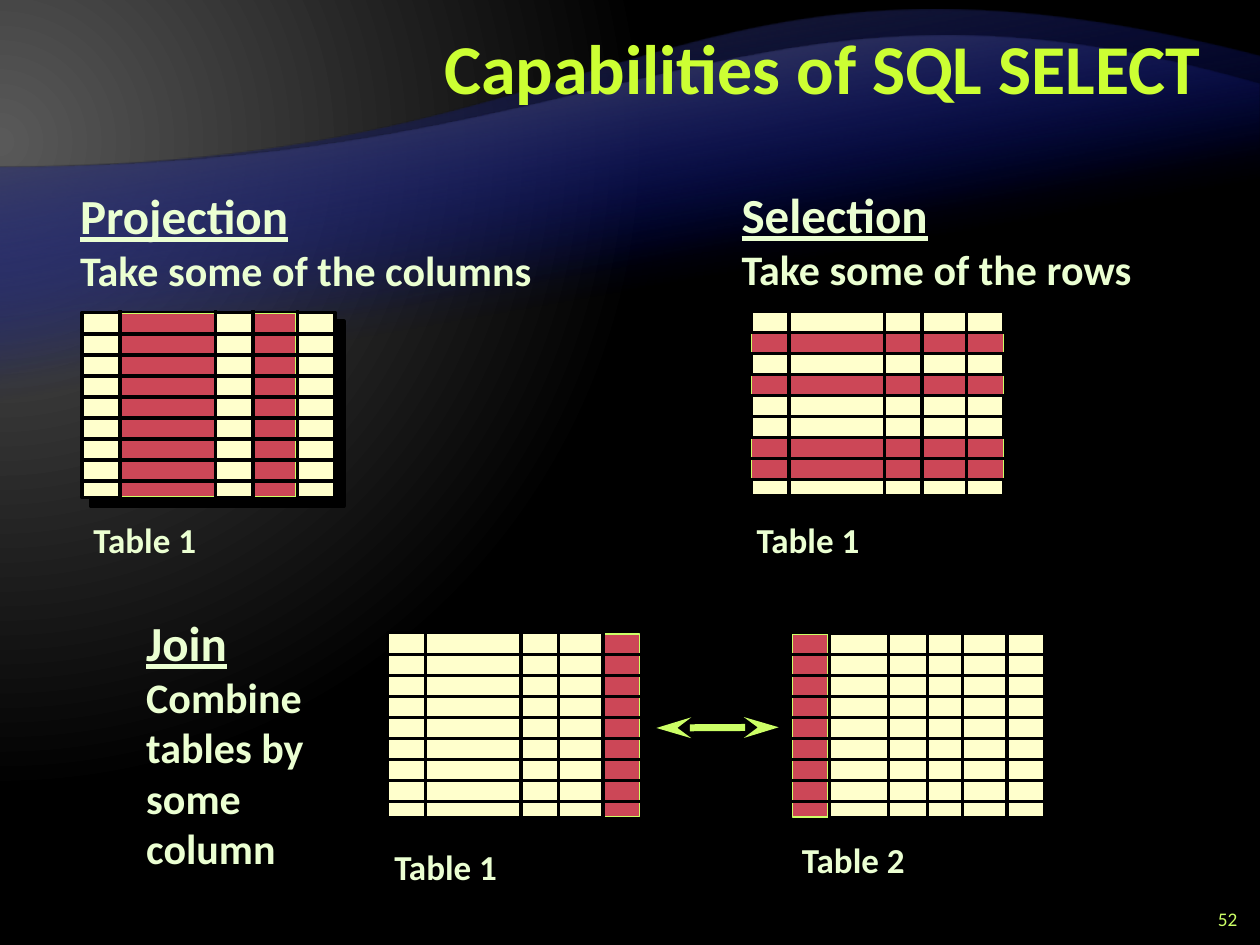
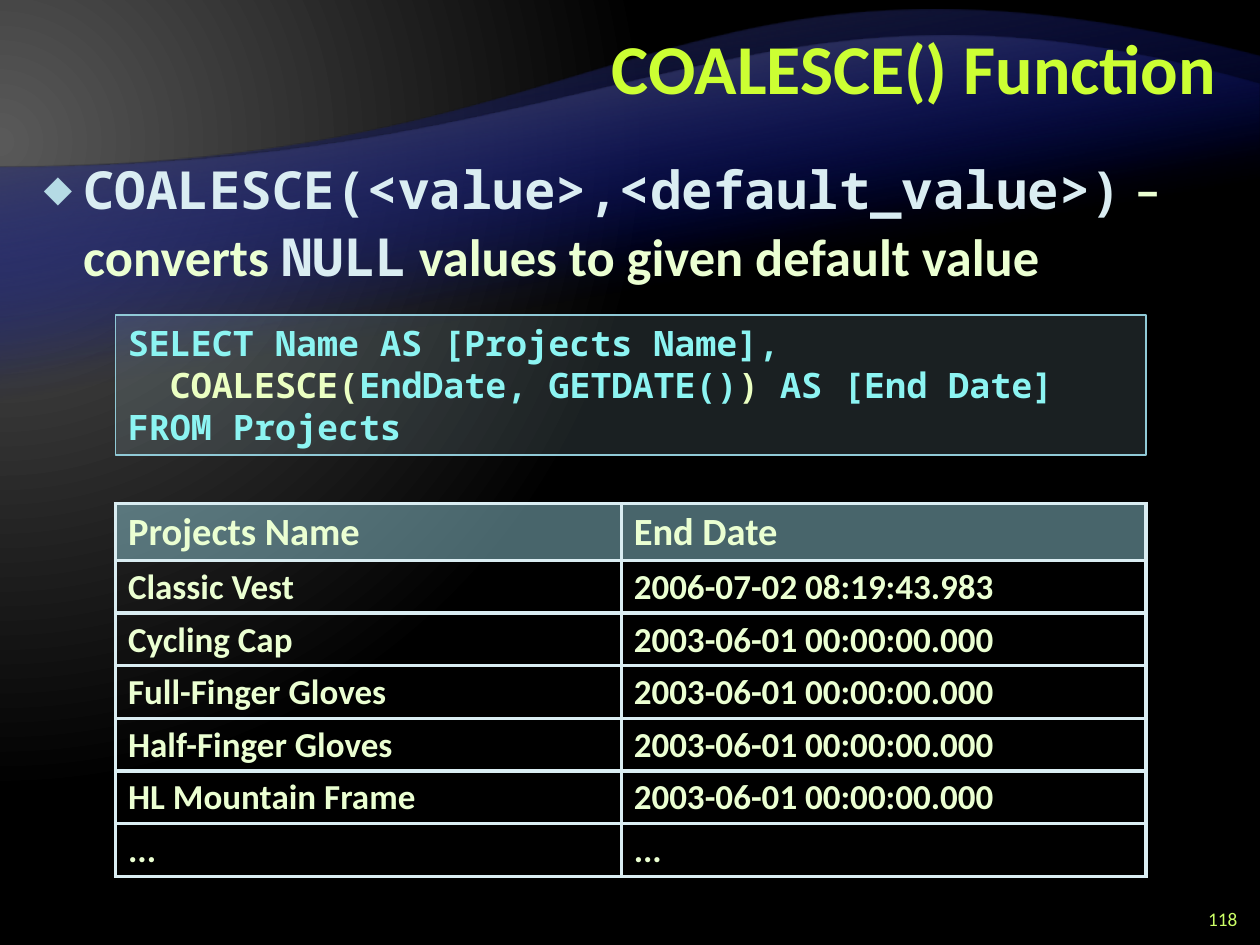
"""Builds two SQL lecture slides: SELECT capabilities and the COALESCE function."""
import lxml.etree
import pptx
import pptx.dml.color
import pptx.enum.shapes
import pptx.enum.text
import pptx.oxml
import pptx.oxml.ns
import pptx.util

Pt = pptx.util.Pt
RGBColor = pptx.dml.color.RGBColor
ALIGN = pptx.enum.text.PP_ALIGN
ANCHOR = pptx.enum.text.MSO_ANCHOR
RECTANGLE = pptx.enum.shapes.MSO_SHAPE.RECTANGLE
qn = pptx.oxml.ns.qn

BLACK = RGBColor(0x00, 0x00, 0x00)
GLOW_GREY = RGBColor(0x59, 0x59, 0x59)
WAVE_GREY = RGBColor(0x26, 0x26, 0x26)
WAVE_BLUE = RGBColor(0x00, 0x0D, 0x9E)
TITLE_LIME = RGBColor(0xCC, 0xFF, 0x33)
LIME = RGBColor(0xCC, 0xFF, 0x66)
TEXT_PALE = RGBColor(0xEB, 0xFF, 0xD2)
CELL_CREAM = RGBColor(0xFF, 0xFF, 0xCC)
PICKED_RED = RGBColor(0xCC, 0x47, 0x57)
ICE = RGBColor(0xDA, 0xED, 0xF2)
BULLET_BLUE = RGBColor(0xB5, 0xDB, 0xE5)
BORDER_BLUE = RGBColor(0x90, 0xCA, 0xD7)
CODE_CYAN = RGBColor(0x8C, 0xF4, 0xF2)
CODE_YELLOW = RGBColor(0xEB, 0xFF, 0xC2)
SANS, MONO = "Calibri", "Noto Sans Mono"

SLIDE_WIDTH, SLIDE_HEIGHT = 720, 540
GRID_WIDTH, GRID_HEIGHT, ROW_STEP, OVERHANG = 144.7, 105.8, 12, 1.2
FIVE_COLUMNS = [0, 21.7, 76.3, 97.7, 123.1, GRID_WIDTH]
SIX_COLUMNS = [0, 21.7, 55.4, 77.8, 97.9, 123.1, GRID_WIDTH]
ROW_EDGES = [0] + [12.3 + ROW_STEP * i for i in range(8)] + [GRID_HEIGHT]


def points(*lengths):
    """Turn plain numbers into point lengths."""
    return [Pt(length) for length in lengths]


def make_element(markup):
    """Parse one DrawingML element."""
    return pptx.oxml.parse_xml(f'<a:root {pptx.oxml.ns.nsdecls("a")}>{markup}</a:root>')[0]


def set_gradient(element, stops, direction):
    """Swap the solid fill inside an element for a gradient."""
    solid = element.find(".//" + qn("a:solidFill"))
    marks = "".join(
        f'<a:gs pos="{place * 1000}"><a:srgbClr val="{color}">'
        f'<a:alpha val="{alpha * 1000}"/></a:srgbClr></a:gs>'
        for place, color, alpha in stops)
    solid.getparent().replace(solid, make_element(
        f'<a:gradFill rotWithShape="1"><a:gsLst>{marks}</a:gsLst>{direction}</a:gradFill>'))


def fill_solid(fill, properties, color, alpha=100):
    """Set a solid fill, optionally see-through, held by the given properties."""
    fill.solid()
    fill.fore_color.rgb = color
    if alpha < 100:
        tint = properties.find(f"{qn('a:solidFill')}/{qn('a:srgbClr')}")
        lxml.etree.SubElement(tint, qn("a:alpha")).set("val", str(alpha * 1000))


def format_run(run, size, color, font=SANS, bold=True, underline=False):
    """Style one run of text."""
    run.font.name, run.font.size = font, Pt(size)
    run.font.bold, run.font.underline = bold, underline
    run.font.color.rgb = color


def add_text(slide, box, text, styles, wrap=True, align=ALIGN.LEFT, anchor=ANCHOR.TOP):
    """Add a text box with one style per line, the last style serving the rest."""
    frame = slide.shapes.add_textbox(*points(*box)).text_frame
    frame.text = text
    frame.word_wrap = wrap
    frame.vertical_anchor = anchor
    if not wrap:
        frame.auto_size = pptx.enum.text.MSO_AUTO_SIZE.SHAPE_TO_FIT_TEXT
    for index, paragraph in enumerate(frame.paragraphs):
        paragraph.alignment = align
        for run in paragraph.runs:
            format_run(run, **styles[min(index, len(styles) - 1)])
    return frame


def add_runs(paragraph, pieces, size):
    """Add bold runs given as text, font and colour."""
    for text, font, color in pieces:
        run = paragraph.add_run()
        run.text = text
        format_run(run, size, color, font)


def add_rectangle(slide, box, color, line_color, line_width, alpha=100):
    """Add an outlined rectangle without a shadow."""
    rectangle = slide.shapes.add_shape(RECTANGLE, *points(*box))
    rectangle.shadow.inherit = False
    fill_solid(rectangle.fill, rectangle.element.spPr, color, alpha)
    rectangle.line.color.rgb = line_color
    rectangle.line.width = Pt(line_width)
    return rectangle


def add_line(slide, start, end, color, width, arrows=False):
    """Add a straight line, with long stealth arrowheads if asked."""
    line = slide.shapes.add_connector(
        pptx.enum.shapes.MSO_CONNECTOR.STRAIGHT, *points(*start, *end))
    line.line.color.rgb = color
    line.line.width = Pt(width)
    properties = line.element.spPr
    if arrows:
        for end_tag in ("headEnd", "tailEnd"):
            properties.find(qn("a:ln")).append(
                make_element(f'<a:{end_tag} type="stealth" w="med" len="lg"/>'))
    lxml.etree.SubElement(properties, qn("a:effectLst"))


def add_wave(slide, curve, bottom, grey):
    """Add a half-turned wave whose upper edge is a cubic curve."""
    top = curve[-1][1]
    turned = [points(SLIDE_WIDTH - x, top + bottom - y) for x, y in curve]
    corners = [points(0, top), points(SLIDE_WIDTH, top)]
    builder = slide.shapes.build_freeform(*turned[0])
    builder.add_line_segments([tuple(p) for p in [turned[-1]] + corners])
    wave = builder.convert_to_shape()
    edge = wave.element.find(".//" + qn("a:lnTo"))
    knots = "".join(f'<a:pt x="{x - wave.left}" y="{y - wave.top}"/>' for x, y in turned[1:])
    edge.getparent().replace(edge, make_element(f"<a:cubicBezTo>{knots}</a:cubicBezTo>"))
    wave.rotation = 180
    wave.shadow.inherit = False
    wave.line.fill.background()
    wave.fill.solid()
    set_gradient(wave.element, [(65, WAVE_BLUE, 0), (100, grey, 100)],
                 f'<a:lin ang="{80 * 60000}" scaled="0"/>')


def start_slide(deck, title, number):
    """Add a slide with the shared backdrop, title and number."""
    slide = deck.slides.add_slide(deck.slide_layouts[6])
    slide.background.fill.solid()
    set_gradient(slide.element, [(0, GLOW_GREY, 100), (83, BLACK, 100)],
                 '<a:path path="circle"><a:fillToRect l="20000" t="30000" '
                 'r="135000" b="100000"/></a:path>')
    add_wave(slide, [(0, 95.8), (360, 95.8), (384.5, -54), (720, 32.4)], 470.2, WAVE_GREY)
    add_wave(slide, [(0, 95.8), (360, 95.8), (430.6, -35.3), (720, 48.2)], 401, GLOW_GREY)
    heading = add_text(slide, (144, 5.8, 558, 72), title, [dict(size=40, color=TITLE_LIME)],
                       align=ALIGN.RIGHT, anchor=ANCHOR.MIDDLE)
    heading.paragraphs[0].line_spacing = Pt(40)
    add_text(slide, (678.2, 516.2, 36, 18), number, [dict(size=11, color=LIME, bold=False)],
             align=ALIGN.RIGHT, anchor=ANCHOR.MIDDLE)
    return slide


def add_grid(slide, left, top, columns, picked_columns=(), picked_rows=()):
    """Draw a small data grid with some columns or rows picked out."""
    sheet = add_rectangle(slide, (left, top, GRID_WIDTH, GRID_HEIGHT), CELL_CREAM, BLACK, 2)
    sheet.element.spPr.find(qn("a:effectLst")).append(make_element(
        f'<a:outerShdw blurRad="0" dist="{Pt(7.1)}" dir="{45 * 60000}" algn="ctr" '
        f'rotWithShape="0"><a:srgbClr val="{BLACK}"/></a:outerShdw>'))
    picked = [(left + columns[i] + 0.7, top + 0.7, columns[i + 1] - columns[i] - 1.4,
               GRID_HEIGHT - 1.4) for i in picked_columns]
    picked += [(left + 0.4, top + ROW_EDGES[i] + 0.4, GRID_WIDTH - 0.7, ROW_STEP - 0.6)
               for i in picked_rows]
    for box in picked:
        add_rectangle(slide, box, PICKED_RED, LIME, 0.75)
    for x in columns[1:-1]:
        add_line(slide, (left + x, top - OVERHANG),
                 (left + x, top + GRID_HEIGHT + OVERHANG), BLACK, 2)
    for y in ROW_EDGES[1:-1]:
        add_line(slide, (left - OVERHANG, top + y),
                 (left + GRID_WIDTH + OVERHANG, top + y), BLACK, 2)


def add_result_table(slide, left, top, widths, rows):
    """Add a query result table with a tinted header."""
    heights = [32.5] + [30.1] * (len(rows) - 1)
    table = slide.shapes.add_table(
        len(rows), len(widths), *points(left, top, sum(widths), sum(heights))).table
    table.first_row = table.horz_banding = False
    for column, width in zip(table.columns, widths):
        column.width = Pt(width)
    for row_index, values in enumerate(rows):
        table.rows[row_index].height = Pt(heights[row_index])
        for column_index, value in enumerate(values):
            cell = table.cell(row_index, column_index)
            cell.text = value
            paragraph = cell.text_frame.paragraphs[0]
            paragraph.line_spacing = 0.95
            format_run(paragraph.runs[0], 20 if row_index else 22, TEXT_PALE)
            properties = cell._tc.get_or_add_tcPr()
            if row_index:
                cell.fill.background()
            else:
                fill_solid(cell.fill, properties, BORDER_BLUE, 50)
            for place, side in enumerate("LRTB"):
                properties.insert(place, make_element(
                    f'<a:ln{side} w="{Pt(2.25)}"><a:solidFill><a:srgbClr val="{ICE}"/>'
                    f'</a:solidFill></a:ln{side}>'))


def add_definition(slide, box, pieces):
    """Add the bulleted definition line."""
    frame = slide.shapes.add_textbox(*points(*box)).text_frame
    frame.word_wrap = True
    paragraph = frame.paragraphs[0]
    properties = paragraph._p.get_or_add_pPr()
    properties.set("marL", str(Pt(22.5)))
    properties.set("indent", str(Pt(-22.5)))
    for markup in (f'<a:buClr><a:srgbClr val="{BULLET_BLUE}"/></a:buClr>',
                   '<a:buSzPct val="70000"/>', f'<a:buFont typeface="{SANS}"/>',
                   '<a:buChar char="◆"/>'):
        properties.append(make_element(markup))
    paragraph.line_spacing = Pt(38)
    add_runs(paragraph, pieces, 30)


def add_code(slide, box, lines):
    """Add a tinted code panel."""
    frame = add_rectangle(slide, box, BULLET_BLUE, BORDER_BLUE, 1, 15).text_frame
    frame.word_wrap = True
    frame.vertical_anchor = ANCHOR.TOP
    for index, pieces in enumerate(lines):
        paragraph = frame.add_paragraph() if index else frame.paragraphs[0]
        paragraph.alignment = ALIGN.LEFT
        paragraph.line_spacing = Pt(24)
        add_runs(paragraph, [(text, MONO, color) for text, color in pieces], 20)


def build_capabilities(deck):
    """Build the slide on projection, selection and join."""
    slide = start_slide(deck, "Capabilities of SQL SELECT ", "52")
    add_grid(slide, 46.8, 178.5, FIVE_COLUMNS, picked_columns=(1, 3))
    add_grid(slide, 429.1, 177.8, FIVE_COLUMNS, picked_rows=(1, 3, 6, 7))
    add_grid(slide, 221.5, 361.6, FIVE_COLUMNS, picked_columns=(4,))
    add_grid(slide, 452.2, 361.8, SIX_COLUMNS, picked_columns=(0,))
    add_line(slide, (375.1, 416), (445, 415.6), LIME, 4, arrows=True)
    for left, top, caption in ((218.2, 479.5, "Table 1"), (451.2, 475.6, "Table 2"),
                               (46.3, 292.6, "Table 1"), (425.3, 292.6, "Table 1")):
        add_text(slide, (left, top, 75.6, 31.7), caption,
                 [dict(size=20, color=TEXT_PALE)], wrap=False)
    operation = [dict(size=28, color=TEXT_PALE, underline=True), dict(size=24, color=TEXT_PALE)]
    add_text(slide, (416.7, 101.9, 247, 70.6), "Selection\nTake some of the rows",
             operation, wrap=False)
    add_text(slide, (38.7, 102.6, 284.4, 70.6), "Projection\nTake some of the columns",
             operation, wrap=False)
    add_text(slide, (76.5, 346.4, 124.6, 157.7), "Join\nCombine tables by\nsome column", operation)


def build_coalesce(deck):
    """Build the slide on the COALESCE function."""
    slide = start_slide(deck, "COALESCE() Function", "118")
    add_definition(slide, (18, 84.2, 684, 90), [
        ("COALESCE(<value>,<default_value>)", MONO, ICE), (" – converts ", SANS, TEXT_PALE),
        ("NULL", MONO, ICE), (" values to given default value", SANS, TEXT_PALE)])
    add_code(slide, (66, 180, 589, 79.9), [
        [("SELECT Name AS [Projects Name],", CODE_CYAN)],
        [("  ", CODE_CYAN), ("COALESCE(", CODE_YELLOW), ("EndDate, GETDATE()", CODE_CYAN),
         (")", CODE_YELLOW), (" AS [End Date]", CODE_CYAN)],
        [("FROM Projects", CODE_CYAN)]])
    midnight = "2003-06-01 00:00:00.000"
    add_result_table(slide, 66, 287.8, (289, 300), [
        ("Projects Name", "End Date"), ("Classic Vest", "2006-07-02 08:19:43.983"),
        ("Cycling Cap", midnight), ("Full-Finger Gloves", midnight),
        ("Half-Finger Gloves", midnight), ("HL Mountain Frame", midnight), ("...", "...")])


def main():
    """Build and save the deck."""
    deck = pptx.Presentation()
    deck.slide_width, deck.slide_height = points(SLIDE_WIDTH, SLIDE_HEIGHT)
    build_capabilities(deck)
    build_coalesce(deck)
    deck.save("out.pptx")


if __name__ == "__main__":
    main()
